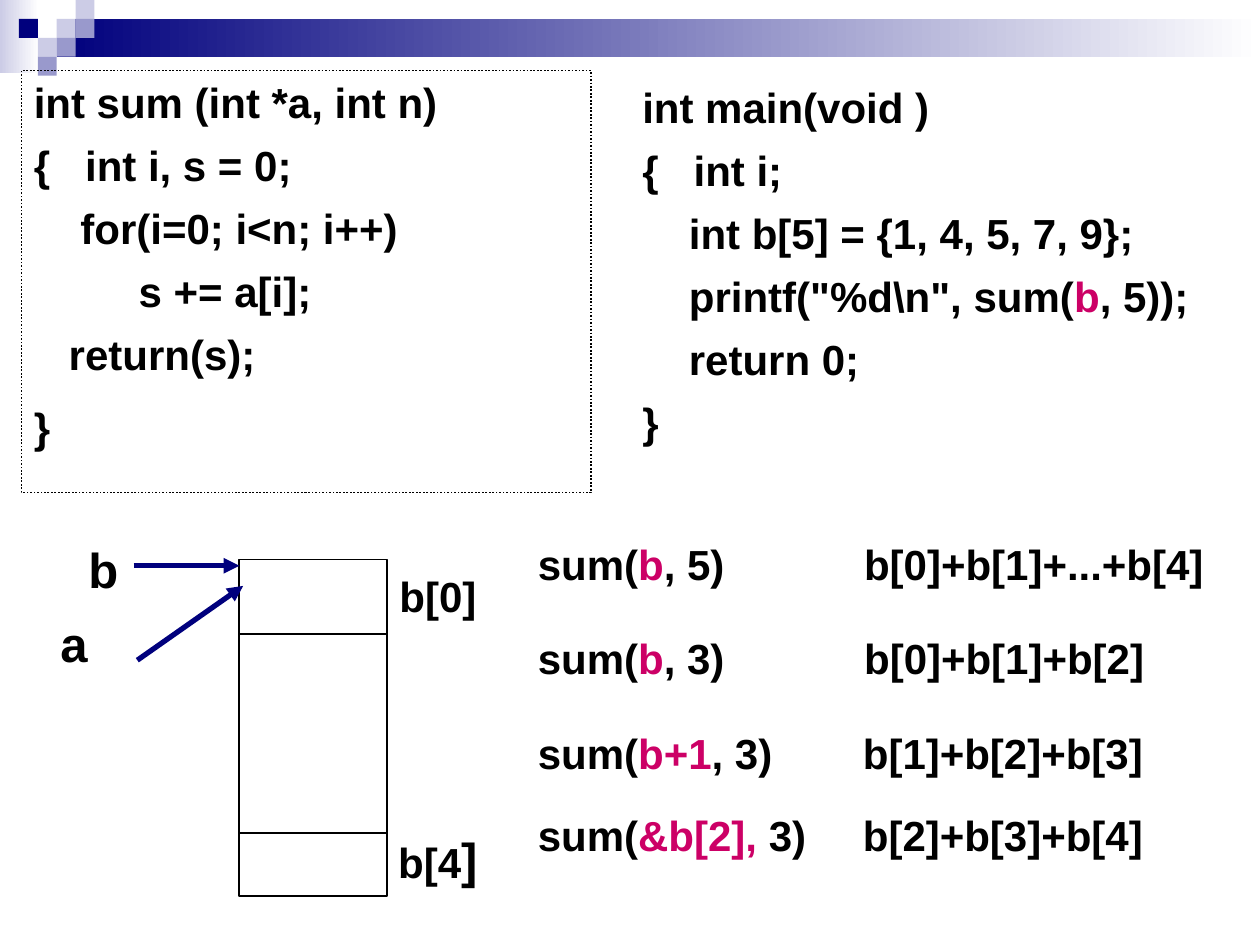
from dataclasses import dataclass

from lxml import etree
from pptx import Presentation
from pptx import util as u
from pptx.dml.color import RGBColor
from pptx.enum import dml, shapes, text
from pptx.oxml.ns import qn


@dataclass(frozen=True)
class Theme:
    font: str = "Arial"
    code_size: float = 24
    pointer_size: float = 28
    ink: str = "000000"
    accent: str = "CC0066"
    navy: str = "00007D"
    lilac: str = "9999CC"
    pale: str = "CCCCE6"
    white: str = "FFFFFF"


THEME = Theme()

# Content: a line is a list of (text, colour) or (text, colour, size) spans
INK, ACCENT = THEME.ink, THEME.accent
SUM_CODE = [
    "int sum (int *a, int n)",
    "{   int i, s = 0;",
    "    for(i=0; i<n; i++)",
    "         s += a[i];",
    "   return(s);",
    "}",
]
MAIN_CODE = [
    "int main(void )",
    "{   int i;",
    "    int b[5] = {1, 4, 5, 7, 9};",
    [('    printf("%d\\n", sum(', INK), ("b", ACCENT), (", 5));", INK)],
    "    return 0;",
    "}",
]
# Top, call argument, rest of call, call width, result, result left, result width
CALLS = [
    (4.27, "b", ", 5)", 1.68, "b[0]+b[1]+...+b[4]", 6.76, 2.9),
    (5.02, "b", ", 3)", 1.68, "b[0]+b[1]+b[2]", 6.76, 2.42),
    (5.77, "b+1", ", 3)", 2.06, "b[1]+b[2]+b[3]", 6.75, 2.42),
    (6.42, "&b[2],", " 3)", 2.33, "b[2]+b[3]+b[4]", 6.75, 2.42),
]
ARRAY_LABELS = [
    ([("b", INK, THEME.pointer_size)], (0.59, 4.23, 0.46, 0.57)),
    ([("a", INK, THEME.pointer_size)], (0.38, 4.82, 0.41, 0.57)),
    ("b[0]", (3.07, 4.48, 0.81, 0.5)),
    ([("b[4", INK), ("]", INK, THEME.pointer_size)], (3.06, 6.53, 0.83, 0.57)),
]
ARRAY = (1.9, 4.44, 1.17, 2.67)
DIVIDERS = [5.03, 6.61]
POINTERS = [((1.06, 4.49), (1.9, 4.49)), ((1.09, 5.24), (1.93, 4.65))]

# Header decoration: gradient bars, then mosaic cells as (column, row, colour)
BARS = [((0, 0, 0.31, 0.58), THEME.pale), ((0.45, 0.15, 9.55, 0.3), THEME.navy)]
CELL = 0.15
MOSAIC = [
    (3, 1, THEME.pale), (4, 0, THEME.pale), (4, 1, THEME.lilac),
    (2, 2, THEME.pale), (1, 1, THEME.navy), (3, 2, THEME.lilac),
    (2, 3, THEME.lilac),
]


def colour(value):
    return RGBColor.from_string(value)


def add_rect(page, frame):
    rect = page.shapes.add_shape(shapes.MSO_SHAPE.RECTANGLE, *map(u.Inches, frame))
    rect.shadow.inherit = False
    rect.fill.background()
    rect.line.fill.background()
    return rect


def outline(shape, value=THEME.ink, width=1):
    shape.line.color.rgb = colour(value)
    shape.line.width = u.Pt(width)


def add_line(page, start, end, value=THEME.ink, width=1, arrow=False):
    line = page.shapes.add_connector(
        shapes.MSO_CONNECTOR.STRAIGHT, *map(u.Inches, (*start, *end)))
    outline(line, value, width)
    if arrow:
        etree.SubElement(line.line._get_or_add_ln(), qn("a:tailEnd"), type="triangle")
    etree.SubElement(line._element.spPr, qn("a:effectLst"))


def write(para, line):
    spans = [(line, INK)] if isinstance(line, str) else line
    for words, value, *size in spans:
        span = para.add_run()
        span.text = words
        span.font.name = THEME.font
        span.font.size = u.Pt(size[0] if size else THEME.code_size)
        span.font.bold = True
        span.font.color.rgb = colour(value)


def add_text(page, frame, line, anchor=text.MSO_ANCHOR.TOP,
             align=text.PP_ALIGN.LEFT, spacing=None):
    box = page.shapes.add_textbox(*map(u.Inches, frame))
    box.text_frame.word_wrap = False
    box.text_frame.vertical_anchor = anchor
    para = box.text_frame.paragraphs[0]
    para.alignment = align
    para.line_spacing = spacing
    write(para, line)


def add_code(page, frame, lines, last_gap=7.2):
    box = page.shapes.add_textbox(*map(u.Inches, frame))
    box.text_frame.word_wrap = True
    for index, line in enumerate(lines):
        para = box.text_frame.paragraphs[0] if index == 0 else box.text_frame.add_paragraph()
        if index:
            para.space_before = u.Pt(last_gap if index == len(lines) - 1 else 7.2)
        write(para, line)
    return box


def main():
    deck = Presentation()
    deck.slide_width, deck.slide_height = u.Inches(10), u.Inches(7.5)
    page = deck.slides.add_slide(deck.slide_layouts[6])

    # Header
    for frame, start in BARS:
        bar = add_rect(page, frame)
        bar.fill.gradient()
        bar.fill.gradient_angle = 0
        for stop, value in zip(bar.fill.gradient_stops, (start, THEME.white)):
            stop.color.rgb = colour(value)
    for column, row, value in MOSAIC:
        tile = add_rect(page, (column * CELL, row * CELL, CELL, CELL))
        tile.fill.solid()
        tile.fill.fore_color.rgb = colour(value)

    # Code listings
    sum_box = add_code(page, (0.17, 0.56, 4.52, 3.35), SUM_CODE, last_gap=13)
    outline(sum_box)
    sum_box.line.dash_style = dml.MSO_LINE.ROUND_DOT
    add_code(page, (5, 0.6, 4.73, 2.92), MAIN_CODE)

    # Array with its pointers
    outline(add_rect(page, ARRAY))
    left, right = ARRAY[0], ARRAY[0] + ARRAY[2]
    for y in DIVIDERS:
        add_line(page, (left, y), (right, y))
    for start, end in POINTERS:
        add_line(page, start, end, THEME.navy, 3, arrow=True)
    for label, frame in ARRAY_LABELS:
        add_text(page, frame, label, text.MSO_ANCHOR.MIDDLE, text.PP_ALIGN.CENTER)

    # Calls and their results
    for top, argument, rest, width, result, result_left, result_width in CALLS:
        call = [("sum(", INK), (argument, ACCENT), (rest, INK)]
        add_text(page, (4.17, top, width, 0.46), call, spacing=0.9)
        add_text(page, (result_left, top, result_width, 0.46), result, spacing=0.9)

    deck.save("out.pptx")


if __name__ == "__main__":
    main()
